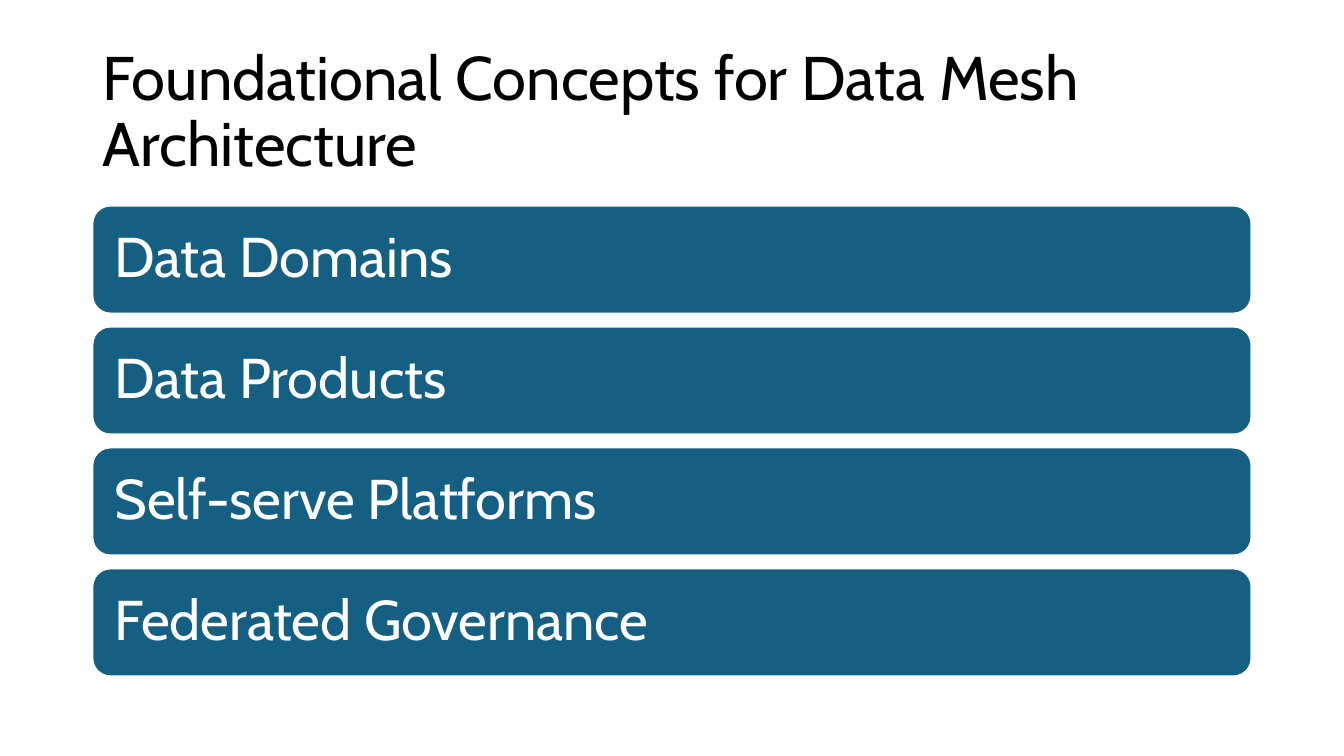
from dataclasses import dataclass

from pptx import Presentation
from pptx.dml.color import RGBColor
from pptx.enum import shapes, text
from pptx.util import Pt

FONT = "Cabin"
BLACK, WHITE, BLUE = "000000", "FFFFFF", "156082"

# Layout in points
LEFT, WIDTH = 66, 828
BAR_TOP, BAR_HEIGHT, BAR_PITCH = 146.8, 77.2, 86.4
BAR_INSET = 12


@dataclass
class Bar:
    label: str
    top: float


def color(value: str) -> RGBColor:
    return RGBColor.from_string(value)


def set_text(sp, content: str, size: float, fill: str) -> None:
    tf = sp.text_frame
    tf.text = content
    tf.word_wrap = True
    tf.auto_size = text.MSO_AUTO_SIZE.NONE
    tf.vertical_anchor = text.MSO_ANCHOR.MIDDLE
    p = tf.paragraphs[0]
    p.alignment = text.PP_ALIGN.LEFT
    p.line_spacing = 0.9
    r = p.runs[0]
    r.font.name = FONT
    r.font.size = Pt(size)
    r.font.color.rgb = color(fill)


def draw_bar(s, bar: Bar) -> None:
    sp = s.shapes.add_shape(shapes.MSO_SHAPE.ROUNDED_RECTANGLE,
                            Pt(LEFT), Pt(bar.top), Pt(WIDTH), Pt(BAR_HEIGHT))
    sp.shadow.inherit = False
    sp.fill.solid()
    sp.fill.fore_color.rgb = color(BLUE)
    sp.line.color.rgb = color(WHITE)
    sp.line.width = Pt(1.5)
    set_text(sp, bar.label, 40, WHITE)
    tf = sp.text_frame
    tf.margin_left = tf.margin_right = Pt(BAR_INSET)
    tf.margin_top = tf.margin_bottom = Pt(BAR_INSET)


def main() -> None:
    prs = Presentation()
    prs.slide_width, prs.slide_height = Pt(960), Pt(540)
    s = prs.slides.add_slide(prs.slide_layouts[5])

    # Title
    title = s.shapes.title
    title.left, title.top = Pt(LEFT), Pt(28.8)
    title.width, title.height = Pt(WIDTH), Pt(104.4)
    set_text(title, "Foundational Concepts for Data Mesh Architecture", 44, BLACK)

    # Concept bars
    concepts = ["Data Domains", "Data Products", "Self-serve Platforms",
                "Federated Governance"]
    for i, label in enumerate(concepts):
        draw_bar(s, Bar(label, BAR_TOP + i * BAR_PITCH))

    prs.save("out.pptx")


if __name__ == "__main__":
    main()
